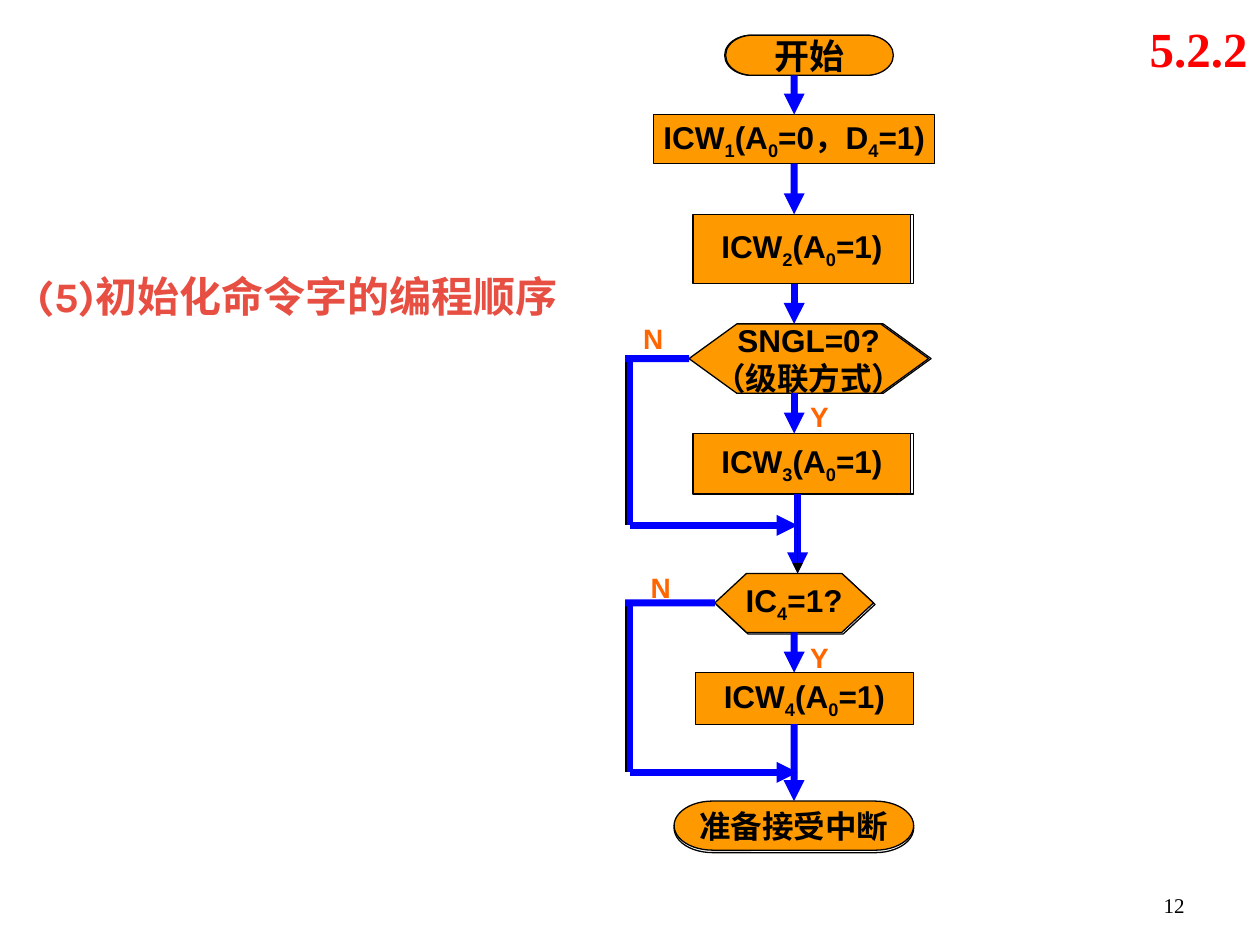
import itertools

import lxml.etree
import pptx
import pptx.dml.color
import pptx.enum.shapes
import pptx.enum.text
import pptx.oxml.ns
import pptx.util

Cm, Pt = pptx.util.Cm, pptx.util.Pt
qn = pptx.oxml.ns.qn
KIND = pptx.enum.shapes.MSO_SHAPE
LINE = pptx.enum.shapes.MSO_CONNECTOR.STRAIGHT
ALIGN = pptx.enum.text.PP_ALIGN
ANCHOR = pptx.enum.text.MSO_ANCHOR

COLORS = {"box": "FF9900", "back": "FFFFFF", "edge": "000000", "flow": "0000FF",
          "label": "FF6600", "title": "E74F43", "mark": "FF0000"}
FONTS = {
    "title": {"name": "Karla", "size": Pt(24), "bold": True},
    "mark": {"name": "Times New Roman", "size": Pt(28), "bold": True},
    "page": {"name": "Times New Roman", "size": Pt(12), "bold": False},
    "label": {"name": "Arial", "size": Pt(16), "bold": True},
    "start": {"name": "Arial", "size": Pt(20), "bold": True},
    "step": {"name": "Arial", "size": Pt(18), "bold": True},
}
AXIS, MERGE, RAIL = 3.41, 3.48, 0.1
STEPS = [
    ("开始", KIND.FLOWCHART_TERMINATOR, (2.03, 0, 3.38, 0.81), (-0.02, 0)),
    ("ICW_1(A_0=0，D_4=1)", KIND.FLOWCHART_PROCESS, (0.58, 1.6, 5.66, 0.99), None),
    ("ICW_2(A_0=1)", KIND.RECTANGLE, (1.37, 3.61, 4.39, 1.4), (0.05, 0)),
    ("SNGL=0?\n（级联方式）", KIND.FLOWCHART_PREPARATION, (1.29, 5.82, 4.83, 1.4), (0.05, 0)),
    ("ICW_3(A_0=1)", KIND.RECTANGLE, (1.37, 8.03, 4.39, 1.22), (0.05, 0)),
    ("IC_4=1?", KIND.FLOWCHART_PREPARATION, (1.81, 10.85, 3.2, 1.19), (0.03, 0.03)),
    ("ICW_4(A_0=1)", KIND.RECTANGLE, (1.42, 12.85, 4.39, 1.04), None),
    ("准备接受中断", KIND.FLOWCHART_TERMINATOR, (0.99, 15.44, 4.83, 0.99), (0, 0.05)),
]
LABELS = [("Y", 3.02, 7.21), ("Y", 3.02, 12.07), ("N", -0.33, 5.64), ("N", -0.18, 10.67)]
LOOPS = [(3, 9.88), (5, 14.86)]


def paint(key):
    """Return the named colour."""
    return pptx.dml.color.RGBColor.from_string(COLORS[key])


def write(frame, text, style, color, align):
    """Fill a text frame; an underscore lowers the character after it."""
    for num, row in enumerate(text.split("\n")):
        para = frame.add_paragraph() if num else frame.paragraphs[0]
        para.alignment = align
        first, *rest = row.split("_")
        parts = [(first, False)]
        for part in rest:
            parts += [(part[0], True), (part[1:], False)]
        for part, low in parts:
            run = para.add_run()
            run.text = part
            for key, value in FONTS[style].items():
                setattr(run.font, key, value)
            run.font.color.rgb = paint(color)
            if low:
                run.font._element.set("baseline", "-25000")


def note(slide, box, text, style, color, align, anchor=ANCHOR.TOP):
    """Add a wrapped text box."""
    frame = slide.shapes.add_textbox(*map(Cm, box)).text_frame
    frame.word_wrap = True
    frame.vertical_anchor = anchor
    write(frame, text, style, color, align)


def block(slide, kind, box, fill):
    """Add an outlined preset shape."""
    shape = slide.shapes.add_shape(kind, *map(Cm, box))
    shape.shadow.inherit = False
    shape.fill.solid()
    shape.fill.fore_color.rgb = paint(fill)
    shape.line.color.rgb = paint("edge")
    shape.line.width = Pt(0.75)
    return shape


def wire(slide, ends, color="flow", width=4, arrow=False):
    """Add a straight line, with an arrowhead if asked."""
    line = slide.shapes.add_connector(LINE, *map(Cm, ends))
    line.line.color.rgb = paint(color)
    line.line.width = Pt(width)
    if arrow:
        lxml.etree.SubElement(line.line._get_or_add_ln(), qn("a:tailEnd"), type="triangle")
    lxml.etree.SubElement(line._element.spPr, qn("a:effectLst"))
    return line


def step(slide, left, top, text, kind, box, shift):
    """Add one flow step over its offset backing."""
    x, y, w, h = box
    x, y = left + x, top + y
    if shift:
        block(slide, kind, (x + shift[0], y + shift[1], w, h), "back")
    shape = block(slide, kind, (x, y, w, h), "box")
    shape.text_frame.word_wrap = False
    shape.text_frame.vertical_anchor = ANCHOR.MIDDLE
    style = "start" if y == top else "step"
    write(shape.text_frame, text, style, "edge", ALIGN.CENTER)
    return shape


def loop(slide, left, top, shape, side, foot):
    """Run a bypass from a decision's left side down to the main flow."""
    x, y, w, h = side
    mid, foot = top + y + h / 2, top + foot
    rail = left + RAIL
    wire(slide, (left + 0.02, mid, left + 0.02, foot), "edge", 0.75)
    wire(slide, (left + x, mid, left, mid)).begin_connect(shape, 1)
    wire(slide, (rail, mid, rail, foot))
    wire(slide, (rail, foot, left + MERGE, foot), arrow=True)


def chart(slide, left, top):
    """Draw the flow chart from its top left corner."""
    shapes = [step(slide, left, top, *item) for item in STEPS]
    boxes = [item[2] for item in STEPS]
    pairs = itertools.pairwise(zip(shapes, boxes))
    for num, ((prev, high), (after, low)) in enumerate(pairs):
        x = MERGE if num == 4 else AXIS
        ends = (left + x, top + high[1] + high[3], left + x, top + low[1])
        line = wire(slide, ends, arrow=True)
        if abs(high[0] + high[2] / 2 - x) < 0.03:
            line.begin_connect(prev, 2)
        if abs(low[0] + low[2] / 2 - x) < 0.03:
            line.end_connect(after, 0)
        if num == 4:
            wire(slide, ends, "edge", 1, True)
    for num, foot in LOOPS:
        loop(slide, left, top, shapes[num], boxes[num], foot)
    for text, x, y in LABELS:
        note(slide, (left + x, top + y, 1.8, 0.94), text, "label", "label", ALIGN.CENTER)


def heads(slide, wide, high):
    """Add the title, section mark and page number."""
    note(slide, (0.51, 5.33, 12.5, 1.27), "(5)初始化命令字的编程顺序", "title", "title", ALIGN.LEFT)
    note(slide, (wide - 2.74, 0.25, 2.74, 1.45), "5.2.2", "mark", "mark", ALIGN.RIGHT)
    note(slide, (wide - 7.19, high - 1.7, 5.92, 1.27), "12", "page", "edge",
         ALIGN.RIGHT, ANCHOR.BOTTOM)


def main():
    """Build and save the slide."""
    deck = pptx.Presentation()
    wide, high = 25.4, 19.05
    deck.slide_width, deck.slide_height = Cm(wide), Cm(high)
    slide = deck.slides.add_slide(deck.slide_layouts[6])
    heads(slide, wide, high)
    chart(slide, 12.6, 0.71)
    deck.save("out.pptx")


if __name__ == "__main__":
    main()
